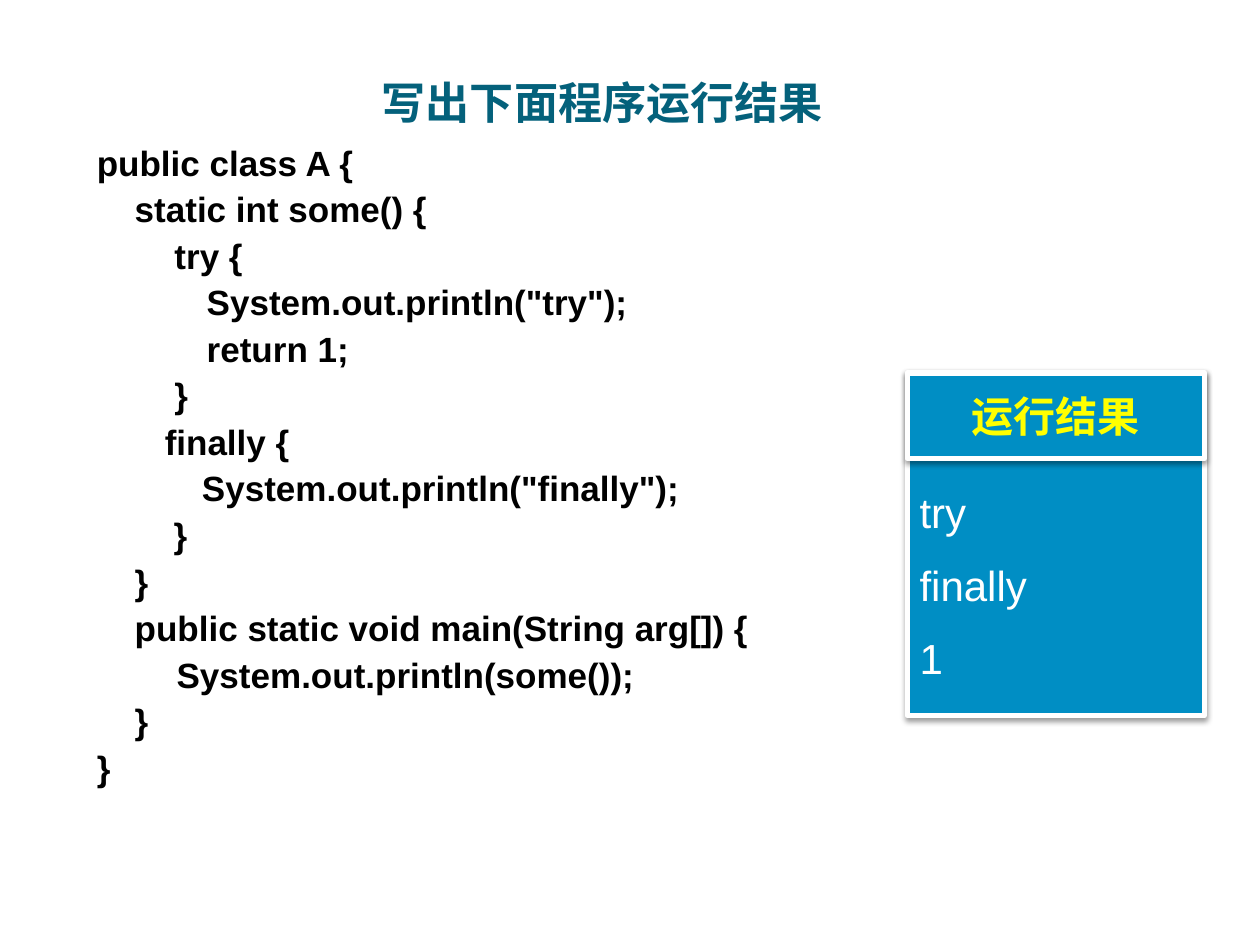
from lxml import etree
from pptx import Presentation
from pptx.dml.color import RGBColor
from pptx.enum.shapes import MSO_SHAPE
from pptx.enum.text import MSO_ANCHOR, PP_ALIGN
from pptx.oxml.ns import qn
from pptx.util import Inches, Pt

RECTANGLE = MSO_SHAPE.RECTANGLE
TOP, MIDDLE, BOTTOM = MSO_ANCHOR.TOP, MSO_ANCHOR.MIDDLE, MSO_ANCHOR.BOTTOM
LEFT, CENTER = PP_ALIGN.LEFT, PP_ALIGN.CENTER

CODE_FONT = "Arial"
INDENT_FONT = "Times New Roman"
CODE_LINES = [
    ("", "public class A {"),
    (" ", "   static int some() {"),
    ("", "        try {"),
    ("       ", "     System.out.println(\"try\");"),
    ("       ", "     return 1;"),
    ("", "        }"),
    ("", "       finally {"),
    ("            ", "System.out.println(\"finally\");"),
    (" ", "       }"),
    (" ", "   }"),
    (" ", "   public static void main(String arg[]) {"),
    ("        ", " System.out.println(some());"),
    (" ", "   }"),
    ("", "}"),
]
RESULT_LINES = ["try", "finally", "1"]


def color(value):
    return RGBColor.from_string(value)


def add_run(paragraph, text, font_name, size, text_color, bold=False):
    run = paragraph.add_run()
    run.text = text
    run.font.name = font_name
    run.font.size = Pt(size)
    run.font.bold = bold
    run.font.color.rgb = color(text_color)


def next_paragraph(text_frame, index, space_before=0):
    if index == 0:
        return text_frame.paragraphs[0]
    paragraph = text_frame.add_paragraph()
    paragraph.space_before = Pt(space_before)
    return paragraph


def add_text_box(slide, left, top, width, height):
    box = slide.shapes.add_textbox(
        Inches(left), Inches(top), Inches(width), Inches(height))
    box.text_frame.word_wrap = True
    return box.text_frame


def add_title(slide, text):
    text_frame = add_text_box(slide, 3.03, 0.51, 4.81, 0.51)
    text_frame.vertical_anchor = BOTTOM
    text_frame.margin_left = text_frame.margin_right = text_frame.margin_bottom = 0
    add_run(text_frame.paragraphs[0], text, "Montserrat", 25.2, "04617B", True)


def add_code(slide, lines):
    text_frame = add_text_box(slide, 0.67, 1.11, 8.74, 5.64)
    for index, (indent, code) in enumerate(lines):
        paragraph = next_paragraph(text_frame, index, 5)
        paragraph.line_spacing = 0.9
        if indent:
            add_run(paragraph, indent, INDENT_FONT, 20, "000000", True)
        add_run(paragraph, code, CODE_FONT, 20, "000000", True)


def add_shadow(shape):
    shape.shadow.inherit = False
    effects = shape._element.spPr.find(qn("a:effectLst"))
    shadow = etree.SubElement(
        effects, qn("a:outerShdw"), blurRad=str(Pt(3.1)), dist=str(Pt(1.6)),
        dir="5400000", rotWithShape="0")
    shadow_color = etree.SubElement(shadow, qn("a:srgbClr"), val="000000")
    etree.SubElement(shadow_color, qn("a:alpha"), val="38000")


def add_panel(group, height, anchor):
    panel = group.shapes.add_shape(
        RECTANGLE, Inches(7.2), Inches(2.96), Inches(2.36), Inches(height))
    panel.fill.solid()
    panel.fill.fore_color.rgb = color("008EC4")
    panel.line.color.rgb = color("FFFFFF")
    panel.line.width = Pt(3)
    add_shadow(panel)
    panel.text_frame.word_wrap = True
    panel.text_frame.vertical_anchor = anchor
    return panel.text_frame


def add_result(slide, heading, lines):
    group = slide.shapes.add_group_shape()
    body = add_panel(group, 2.72, TOP)
    body.margin_top = Inches(0.9)
    for index, line in enumerate(lines):
        paragraph = next_paragraph(body, index, 13)
        paragraph.alignment = LEFT
        add_run(paragraph, line, CODE_FONT, 24, "FFFFFF")
    header = add_panel(group, 0.68, MIDDLE)
    header.paragraphs[0].alignment = CENTER
    add_run(header.paragraphs[0], heading, CODE_FONT, 24, "FFFF00", True)


def main():
    presentation = Presentation()
    presentation.slide_width = Inches(10)
    presentation.slide_height = Inches(7.5)
    slide = presentation.slides.add_slide(presentation.slide_layouts[6])
    add_title(slide, "写出下面程序运行结果")
    add_code(slide, CODE_LINES)
    add_result(slide, "运行结果", RESULT_LINES)
    presentation.save("out.pptx")


if __name__ == "__main__":
    main()
